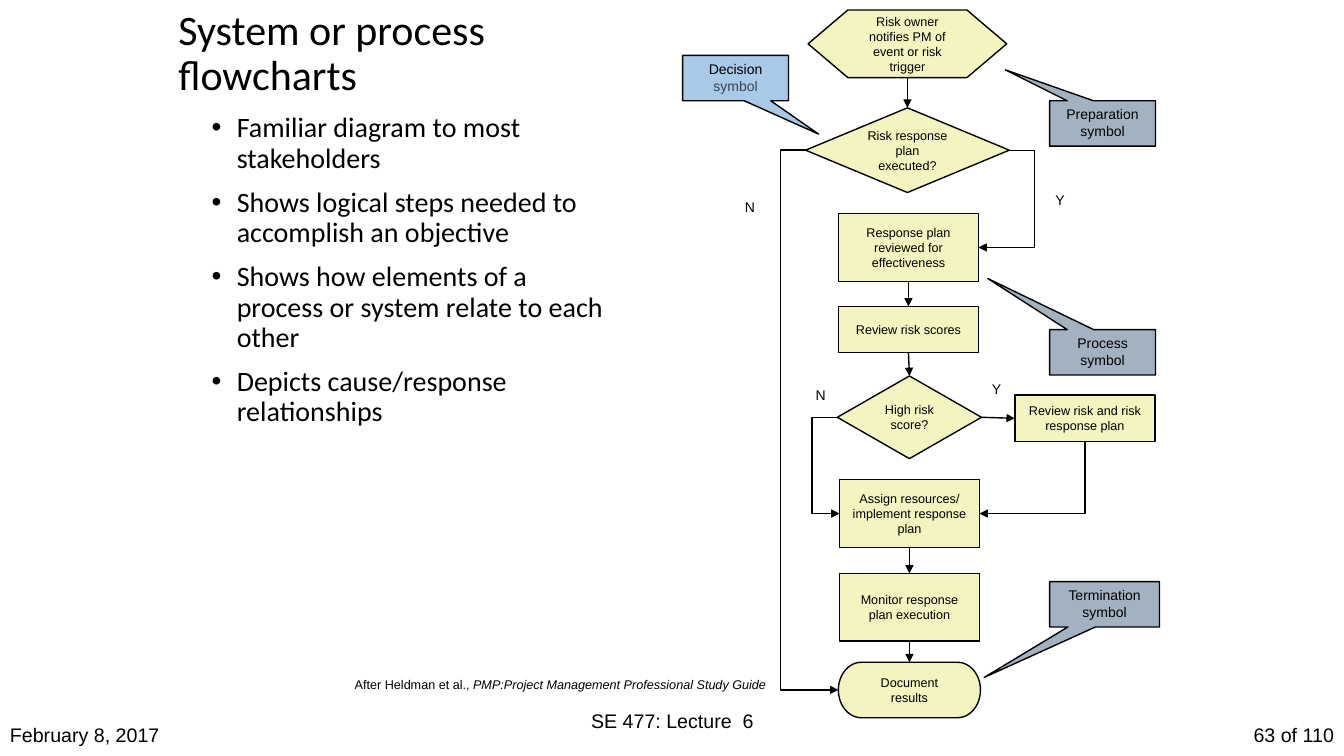
from lxml.etree import SubElement
from pptx import Presentation
from pptx.dml.color import RGBColor
from pptx.enum.shapes import MSO_CONNECTOR as LINK, MSO_SHAPE as SHAPE
from pptx.enum.text import MSO_ANCHOR as ANCHOR, PP_ALIGN as ALIGN
from pptx.oxml.ns import qn
from pptx.util import Inches, Pt

# Content
COLORS = {"ink": "000000", "node": "F3F4C0", "slate": "A3B2C1", "sky": "5B9BD5"}
TITLE = "System or process flowcharts"
BULLETS = [
    "Familiar diagram to most stakeholders",
    "Shows logical steps needed to accomplish an objective",
    "Shows how elements of a process or system relate to each other",
    "Depicts cause/response relationships",
]
CITATION = [("After Heldman et al., ", False),
            ("PMP:Project Management Professional Study Guide", True)]

SPINE = 9.02  # centre of the main column
SIDE = 10.76  # centre of the side branch
KINDS = {  # preset shape, width, height
    "start": (SHAPE.FLOWCHART_PREPARATION, 1.97, 0.67),
    "wide choice": (SHAPE.FLOWCHART_DECISION, 2.02, 0.84),
    "choice": (SHAPE.FLOWCHART_DECISION, 1.43, 0.82),
    "step": (SHAPE.FLOWCHART_PROCESS, 1.39, 0.67),
    "short step": (SHAPE.FLOWCHART_PROCESS, 1.39, 0.46),
    "end": (SHAPE.FLOWCHART_TERMINATOR, 1.41, 0.55),
}
NODES = {  # kind, centre, top, paragraphs
    "notify": ("start", SPINE - 0.02, 0.1,
               ["Risk owner notifies PM of event or risk trigger"]),
    "executed": ("wide choice", SPINE - 0.02, 1.07,
                 ["Risk response plan executed?"]),
    "effective": ("step", SPINE - 0.01, 2.12,
                  ["Response plan reviewed for effectiveness"]),
    "scores": ("short step", SPINE - 0.01, 3.04, ["Review risk scores"]),
    "high": ("choice", SPINE, 3.73, ["High risk score?"]),
    "replan": ("short step", SIDE, 3.92, ["Review risk and risk response plan"]),
    "assign": ("step", SPINE, 4.76,
               ["Assign resources/", "implement response plan"]),
    "monitor": ("step", SPINE, 5.69, ["Monitor response plan execution"]),
    "document": ("end", SPINE, 6.57, ["Document", "results"]),
}
TOP, LEFT, BOTTOM, RIGHT = range(4)
STRAIGHT = [  # from, side, to, side
    ("notify", BOTTOM, "executed", TOP),
    ("effective", BOTTOM, "scores", TOP),
    ("scores", BOTTOM, "high", TOP),
    ("high", RIGHT, "replan", LEFT),
    ("assign", BOTTOM, "monitor", TOP),
    ("monitor", BOTTOM, "document", TOP),
]
LOOPS = [
    ("executed", RIGHT, "effective", RIGHT),
    ("high", LEFT, "assign", LEFT),
    ("executed", LEFT, "document", LEFT),
]
CORNER = ("replan", BOTTOM, "assign", RIGHT)
LOOP_REACH = 0.25
ANSWERS = [("Y", 10.37, 1.85), ("Y", 9.74, 3.73), ("N", 7.29, 1.92), ("N", 7.99, 3.79)]
CALLOUTS = [  # word, left, top, width, pointer tip, fill, fill alpha, second-line alpha
    ("Preparation", 10.41, 1, 1.05, (-0.918, -1.183), "slate", 100, 100),
    ("Decision", 6.77, 0.55, 1.05, (0.784, 1.234), "sky", 53, 65),
    ("Process", 10.41, 3.27, 1.05, (-1.084, -1.627), "slate", 100, 100),
    ("Termination", 10.41, 5.77, 1.09, (-1.095, 1.612), "slate", 100, 100),
]
FOOTERS = [  # text, left, top, width, height, alignment
    ("February 8, 2017", 0, 7.08, 2.89, 0.42, ALIGN.LEFT),
    ("SE 477: Lecture  6", 4.42, 6.95, 4.5, 0.4, ALIGN.CENTER),
    ("63 of 110", 11.11, 7.08, 2.22, 0.42, ALIGN.RIGHT),
]

deck = Presentation()
deck.slide_width, deck.slide_height = Inches(13.33), Inches(7.5)
page = deck.slides.add_slide(deck.slide_layouts[6])


def paint(color_format, name):
    color_format.rgb = RGBColor.from_string(COLORS[name])


def fade(properties, percent):
    if percent < 100:
        color = properties.find(qn("a:solidFill")).find(qn("a:srgbClr"))
        SubElement(color, qn("a:alpha"), val=str(percent * 1000))


def add_span(para, text, size, font="Arial", italic=False):
    span = para.add_run()
    span.text = text
    span.font.name, span.font.size = font, Pt(size)
    if italic:
        span.font.italic = True
    paint(span.font.color, "ink")
    return span


def add_paras(frame, lines, size, align, font="Arial", anchor=ANCHOR.TOP):
    frame.word_wrap, frame.vertical_anchor = True, anchor
    for index, line in enumerate(lines):
        para = frame.add_paragraph() if index else frame.paragraphs[0]
        para.alignment = align
        add_span(para, line, size, font)
    return frame.paragraphs


def add_box(left, top, width, height):
    return page.shapes.add_textbox(*map(Inches, (left, top, width, height))).text_frame


def add_figure(kind, left, top, width, height, fill):
    figure = page.shapes.add_shape(kind, *map(Inches, (left, top, width, height)))
    figure.shadow.inherit = False
    figure.fill.solid()
    paint(figure.fill.fore_color, fill)
    paint(figure.line.color, "ink")
    figure.line.width = Pt(1)
    return figure


def add_arrow(kind, start, start_side, end, end_side):
    arrow = page.shapes.add_connector(kind, 0, 0, 0, 0)
    arrow.begin_connect(figures[start], start_side)
    arrow.end_connect(figures[end], end_side)
    paint(arrow.line.color, "ink")
    arrow.line.width = Pt(1)
    properties = arrow._element.spPr
    SubElement(properties.find(qn("a:ln")), qn("a:tailEnd"), type="triangle")
    SubElement(properties, qn("a:effectLst"))
    return arrow, properties.find(qn("a:prstGeom"))


# Title and bullets
for para in add_paras(add_box(1.67, 0, 4.75, 1.08), [TITLE], 30, ALIGN.LEFT,
                      "Calibri", ANCHOR.MIDDLE):
    para.line_spacing = 0.9
for index, para in enumerate(add_paras(add_box(2, 1.08, 4.08, 6), BULLETS, 20,
                                       ALIGN.LEFT, "Calibri")):
    para.line_spacing = 0.9
    para.space_before = Pt(10 if index else 0)
    settings = para._p.get_or_add_pPr()
    settings.set("marL", str(Inches(0.25)))
    settings.set("indent", str(-Inches(0.25)))
    SubElement(settings, qn("a:buFont"), typeface="Arial")
    SubElement(settings, qn("a:buChar"), char="•")

# Flowchart steps
figures = {}
for name, (kind, centre, top, lines) in NODES.items():
    preset, width, height = KINDS[kind]
    figure = add_figure(preset, centre - width / 2, top, width, height, "node")
    add_paras(figure.text_frame, lines, 9, ALIGN.CENTER, anchor=ANCHOR.MIDDLE)
    figure.text_frame.word_wrap = kind != "end"
    figures[name] = figure

# Arrows
for ends in STRAIGHT:
    add_arrow(LINK.STRAIGHT, *ends)
for ends in LOOPS:
    arrow, geometry = add_arrow(LINK.ELBOW, *ends)
    bend = -round(Inches(LOOP_REACH) / arrow.width * 100000)
    guides = geometry.find(qn("a:avLst"))
    if guides is None:
        guides = SubElement(geometry, qn("a:avLst"))
    SubElement(guides, qn("a:gd"), name="adj1", fmla=f"val {bend}")

# Single-corner arrow: a quarter turn about its centre
arrow, geometry = add_arrow(LINK.ELBOW, *CORNER)
geometry.set("prst", "bentConnector2")
across, down = arrow.width, arrow.height
arrow.left += (across - down) // 2
arrow.top += (down - across) // 2
arrow.width, arrow.height = down, across
turn = arrow._element.spPr.find(qn("a:xfrm"))
turn.attrib.pop("flipH", None)
turn.set("rot", str(90 * 60000))

# Branch answers
for answer, left, top in ANSWERS:
    add_paras(add_box(left, top, 0.25, 0.27), [answer], 10, ALIGN.LEFT)

# Callouts
for word, left, top, width, tip, fill, fill_alpha, text_alpha in CALLOUTS:
    callout = add_figure(SHAPE.RECTANGULAR_CALLOUT, left, top, width, 0.45, fill)
    callout.adjustments[0], callout.adjustments[1] = tip
    fade(callout._element.spPr, fill_alpha)
    paras = add_paras(callout.text_frame, [word, "symbol"], 10, ALIGN.CENTER)
    fade(paras[1].runs[0]._r.rPr, text_alpha)

# Citation and footers
citation = add_box(3.42, 6.67, 4.34, 0.25)
citation.word_wrap = False
for text, italic in CITATION:
    add_span(citation.paragraphs[0], text, 9, italic=italic)
for text, left, top, width, height, align in FOOTERS:
    add_paras(add_box(left, top, width, height), [text], 14, align, anchor=ANCHOR.MIDDLE)

deck.save("out.pptx")
